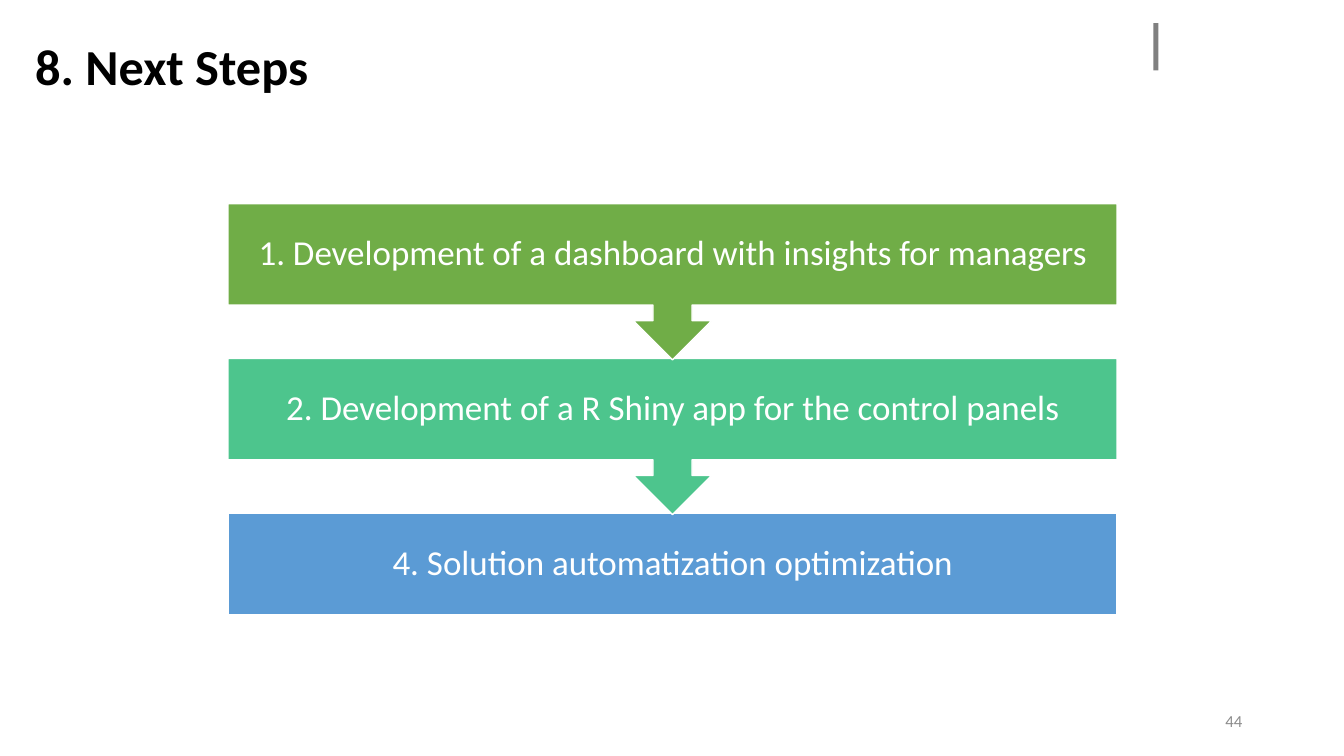
from pptx import Presentation
from pptx.dml.color import RGBColor
from pptx.enum.shapes import MSO_SHAPE
from pptx.enum.text import MSO_ANCHOR, PP_ALIGN
from pptx.util import Inches, Pt

COLORS = {
    "black": "000000",
    "white": "FFFFFF",
    "green": "70AD47",
    "teal": "4DC58D",
    "blue": "5B9BD5",
    "bar": "808080",
    "number": "8C8C8C",
}
STEPS = [
    ("1. Development of a dashboard with insights for managers", "green"),
    ("2. Development of a R Shiny app for the control panels", "teal"),
    ("4. Solution automatization optimization", "blue"),
]
STEP_TOP, STEP_PITCH = 2.02, 1.535
BOX_HEIGHT, CALLOUT_HEIGHT = 1.01, 1.55


def write(shape, text, size, color, align, bold=False):
    frame = shape.text_frame
    frame.word_wrap = True
    frame.vertical_anchor = MSO_ANCHOR.MIDDLE
    para = frame.paragraphs[0]
    para.text = text
    para.alignment = align
    para.font.name = "Calibri"
    para.font.size = Pt(size)
    para.font.bold = bold
    para.font.color.rgb = RGBColor.from_string(COLORS[color])
    return frame


def add_filled(kind, left, top, width, height, color):
    shape = page.shapes.add_shape(
        kind, Inches(left), Inches(top), Inches(width), Inches(height))
    shape.shadow.inherit = False
    shape.fill.solid()
    shape.fill.fore_color.rgb = RGBColor.from_string(COLORS[color])
    shape.line.fill.background()
    return shape


deck = Presentation()
deck.slide_width = Inches(13.33)
deck.slide_height = Inches(7.5)
page = deck.slides.add_slide(deck.slide_layouts[6])

title = page.shapes.add_textbox(Inches(0.25), Inches(0.18), Inches(3.62), Inches(1.01))
title_frame = write(title, "8. Next Steps", 36, "black", PP_ALIGN.LEFT, bold=True)
title_frame.paragraphs[0].line_spacing = 0.9

last = len(STEPS) - 1
for index, (text, color) in reversed(list(enumerate(STEPS))):
    if index == last:
        kind, height = MSO_SHAPE.RECTANGLE, BOX_HEIGHT
    else:
        kind, height = MSO_SHAPE.DOWN_ARROW_CALLOUT, CALLOUT_HEIGHT
    step = add_filled(kind, 2.26, STEP_TOP + index * STEP_PITCH, 8.82, height, color)
    step.line.color.rgb = RGBColor.from_string(COLORS["white"])
    step.line.width = Pt(1)
    frame = write(step, text, 25, "white", PP_ALIGN.CENTER)
    frame.margin_left = frame.margin_right = Inches(0.19)
    frame.margin_top = frame.margin_bottom = Inches(0.19)
    frame.paragraphs[0].line_spacing = 0.9

number = page.shapes.add_textbox(Inches(9.42), Inches(6.95), Inches(3), Inches(0.4))
write(number, "44", 12, "number", PP_ALIGN.RIGHT)

add_filled(MSO_SHAPE.RECTANGLE, 11.44, 0.23, 0.05, 0.47, "bar")

deck.save("out.pptx")
